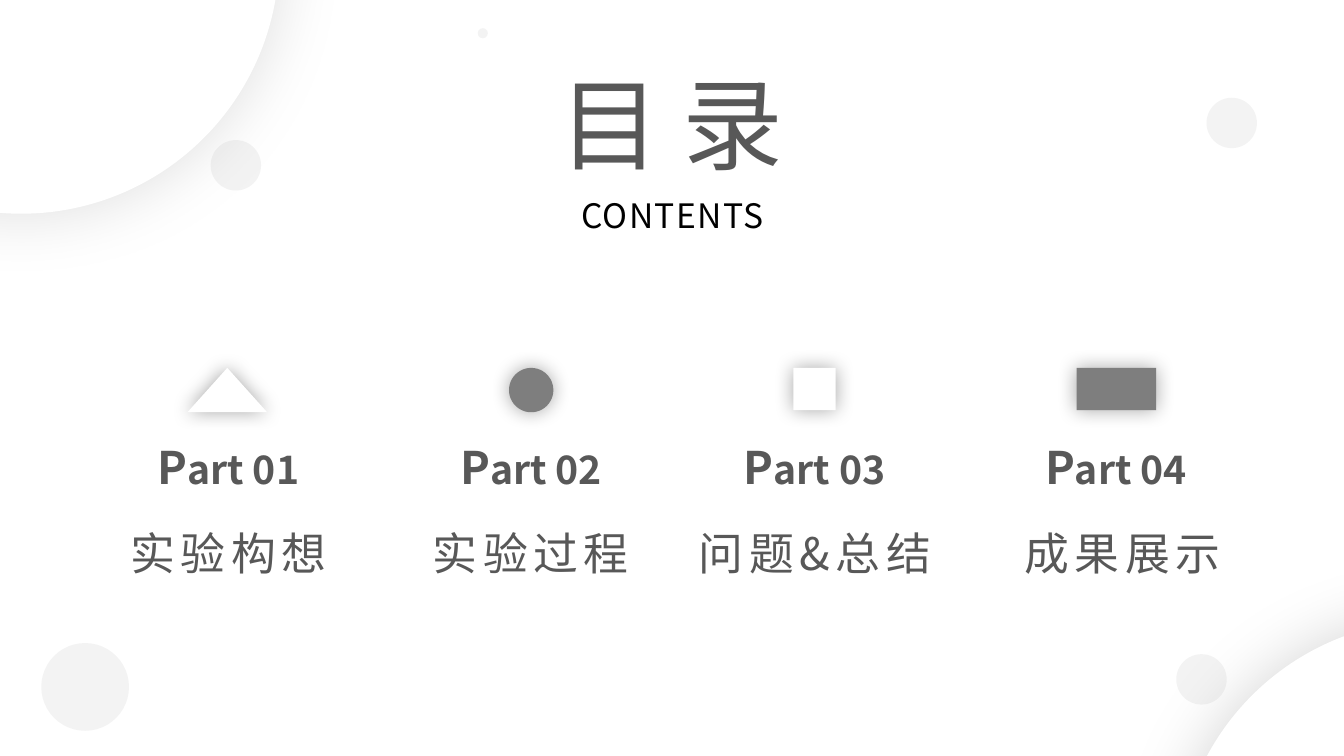
from lxml.etree import SubElement
from pptx import Presentation
from pptx.dml.color import RGBColor
from pptx.enum.shapes import MSO_AUTO_SHAPE_TYPE as Preset
from pptx.enum.text import MSO_AUTO_SIZE as AutoSize, PP_ALIGN as Align
from pptx.oxml.ns import qn
from pptx.util import Pt

TYPEFACE = "Noto Sans CJK SC"
WHITE, GREY, INK, BLACK = "FFFFFF", "7E7E7E", "585858", "000000"
ICON_TOP, PART_TOP, TOPIC_TOP, LABEL_HEIGHT = 262.8, 310.32, 372.24, 46.08

PARTS = [
    ("01", "实验构想", Preset.ISOSCELES_TRIANGLE, WHITE,
     (133.92, 56.88, 31.68), (92.88, 140.4), (83.52, 159.12)),
    ("02", "实验过程", Preset.OVAL, GREY,
     (363.6, 31.68, 31.68), (311.76, 135.36), (299.52, 159.12)),
    ("03", "问题&总结", Preset.RECTANGLE, WHITE,
     (566.64, 30.24, 30.24), (513.36, 136.8), (487.44, 189.36)),
    ("04", "成果展示", Preset.RECTANGLE, GREY,
     (768.96, 56.88, 30.24), (722.16, 149.76), (722.16, 159.12)),
]

DOTS = [
    (861.84, 69.84, 36),
    (29.52, 459.36, 62.64),
    (341.28, 20.16, 7.2),
    (150.48, 100.08, 36),
    (840.24, 467.28, 36),
]


def color(hex_code):
    return RGBColor.from_string(hex_code)


def set_alpha(color_element, percent):
    SubElement(color_element, qn("a:alpha"), val=str(percent * 1000))


def add_figure(shapes, preset, box, fill):
    figure = shapes.add_shape(preset, *map(Pt, box))
    figure.shadow.inherit = False
    figure.fill.solid()
    figure.fill.fore_color.rgb = color(fill)
    figure.line.fill.background()
    return figure


def add_glowing_figure(shapes, preset, box, fill, opacity, blur):
    figure = add_figure(shapes, preset, box, fill)
    effects = figure._element.spPr.find(qn("a:effectLst"))
    shadow = SubElement(effects, qn("a:outerShdw"), blurRad=str(Pt(blur)),
                        dist="0", dir="0", algn="ctr", rotWithShape="0")
    set_alpha(SubElement(shadow, qn("a:srgbClr"), val=BLACK), opacity)


def add_dot(shapes, left, top, size):
    dot = add_figure(shapes, Preset.OVAL, (left, top, size, size), GREY)
    set_alpha(dot._element.spPr.find(qn("a:solidFill"))[0], 9)


def add_label(shapes, box, pieces, ink=INK, bold=False, spacing=0):
    label = shapes.add_textbox(*map(Pt, box))
    frame = label.text_frame
    frame.word_wrap = True
    frame.auto_size = AutoSize.SHAPE_TO_FIT_TEXT
    line = frame.paragraphs[0]
    line.alignment = Align.CENTER
    for words, size in pieces:
        run = line.add_run()
        run.text = words
        run.font.color.rgb = color(ink)
        for key, value in {"name": TYPEFACE, "size": Pt(size), "bold": bold}.items():
            setattr(run.font, key, value)
        properties = run._r.get_or_add_rPr()
        SubElement(properties, qn("a:ea"), typeface=TYPEFACE)
        if spacing:
            properties.set("spc", str(spacing * 100))


def add_part(shapes, number, topic, preset, fill, icon, part_span, topic_span):
    members = shapes.add_group_shape().shapes
    left, width, height = icon
    add_glowing_figure(members, preset, (left, ICON_TOP, width, height), fill, 35, 14)
    left, width = part_span
    add_label(members, (left, PART_TOP, width, LABEL_HEIGHT),
              [("P", 32), (f"art {number}", 28)], bold=True)
    left, width = topic_span
    add_label(members, (left, TOPIC_TOP, width, LABEL_HEIGHT), [(topic, 32)], spacing=4)


def main():
    deck = Presentation()
    deck.slide_width, deck.slide_height = Pt(960), Pt(540)
    shapes = deck.slides.add_slide(deck.slide_layouts[6]).shapes

    add_glowing_figure(shapes, Preset.OVAL, (-169.2, -216, 368.64, 368.64), WHITE, 13, 49)
    add_label(shapes, (295.2, 40.32, 368.64, 94.32), [("目 录", 72)])
    add_glowing_figure(shapes, Preset.OVAL, (840.24, 442.8, 368.64, 368.64), WHITE, 17, 49)
    add_label(shapes, (306, 135.36, 348.48, 36), [("CONTENTS", 24)], ink=BLACK, spacing=1)
    for part in PARTS:
        add_part(shapes, *part)
    for dot in DOTS:
        add_dot(shapes, *dot)

    deck.save("out.pptx")


if __name__ == "__main__":
    main()
